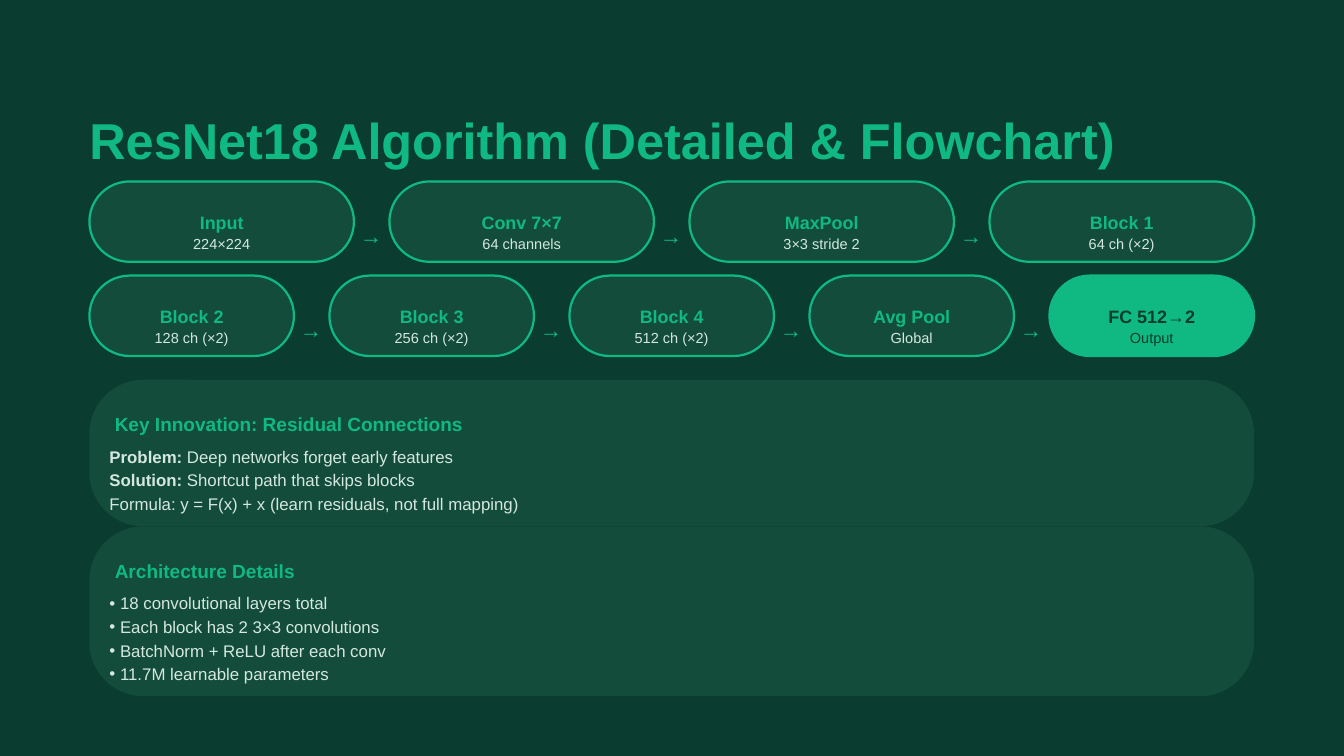
from lxml.etree import SubElement
from pptx import Presentation
from pptx.dml.color import RGBColor
from pptx.enum.shapes import MSO_SHAPE
from pptx.enum.text import PP_ALIGN
from pptx.oxml.ns import qn
from pptx.util import Cm, Pt

BACKGROUND = RGBColor(0x0A, 0x3D, 0x2F)
SURFACE = RGBColor(0x13, 0x4C, 0x3A)
ACCENT = RGBColor(0x10, 0xB9, 0x81)
BODY = RGBColor(0xD4, 0xE8, 0xE0)

MARGIN = 1.69
CONTENT_WIDTH = 22.01
NODE_GAP = 0.67
NODE_HEIGHT = 1.52
PANEL_RADIUS = 1.02
PANEL_PADDING = 0.38

FLOW_ROWS = [
    (3.43, [("Input", "224×224"), ("Conv 7×7", "64 channels"),
            ("MaxPool", "3×3 stride 2"), ("Block 1", "64 ch (×2)")]),
    (5.21, [("Block 2", "128 ch (×2)"), ("Block 3", "256 ch (×2)"),
            ("Block 4", "512 ch (×2)"), ("Avg Pool", "Global"),
            ("FC 512→2", "Output")]),
]
INNOVATION = [
    ("Problem:", " Deep networks forget early features"),
    ("Solution:", " Shortcut path that skips blocks"),
    ("", "Formula: y = F(x) + x (learn residuals, not full mapping)"),
]
ARCHITECTURE = [
    ("", "18 convolutional layers total"),
    ("", "Each block has 2 3×3 convolutions"),
    ("", "BatchNorm + ReLU after each conv"),
    ("", "11.7M learnable parameters"),
]


class FlowSlide:
    font_name = "Arial"

    def __init__(self, deck):
        self.page = deck.slides.add_slide(deck.slide_layouts[6])
        fill = self.page.background.fill
        fill.solid()
        fill.fore_color.rgb = BACKGROUND

    def rounded_box(self, left, top, width, height, radius, color, outline=None):
        box = self.page.shapes.add_shape(
            MSO_SHAPE.ROUNDED_RECTANGLE, Cm(left), Cm(top), Cm(width), Cm(height))
        box.adjustments[0] = radius / height
        box.shadow.inherit = False
        box.fill.solid()
        box.fill.fore_color.rgb = color
        if outline:
            box.line.color.rgb = outline
            box.line.width = Pt(1.2)
        else:
            box.line.fill.background()

    def frame(self, left, top, width, height):
        box = self.page.shapes.add_textbox(Cm(left), Cm(top), Cm(width), Cm(height))
        frame = box.text_frame
        frame.word_wrap = True
        frame.margin_left = frame.margin_right = 0
        frame.margin_top = frame.margin_bottom = 0
        return frame

    def style(self, span, size, color, bold=False):
        span.font.name = self.font_name
        span.font.size = Pt(size)
        span.font.bold = bold
        span.font.color.rgb = color

    def text(self, left, top, width, height, words, size, color, spacing,
             bold=False, align=PP_ALIGN.LEFT):
        frame = self.frame(left, top, width, height)
        frame.text = words
        para = frame.paragraphs[0]
        para.alignment = align
        para.line_spacing = Pt(spacing)
        self.style(para.runs[0], size, color, bold)

    def bullet(self, para):
        properties = para._p.get_or_add_pPr()
        properties.set("marL", str(Cm(0.2)))
        properties.set("indent", str(-Cm(0.2)))
        SubElement(properties, qn("a:buFont"), typeface=self.font_name)
        SubElement(properties, qn("a:buChar"), char="•")

    def lines(self, left, top, width, height, items, bulleted):
        frame = self.frame(left, top, width, height)
        for index, (lead, rest) in enumerate(items):
            para = frame.add_paragraph() if index else frame.paragraphs[0]
            if bulleted:
                self.bullet(para)
            para.line_spacing = Pt(12.6)
            for words, bold in ((lead, True), (rest, False)):
                if words:
                    span = para.add_run()
                    span.text = words
                    self.style(span, 9, BODY, bold)

    def node(self, left, top, width, label, detail, final):
        fill, label_color, detail_color = (
            (ACCENT, BACKGROUND, BACKGROUND) if final else (SURFACE, ACCENT, BODY))
        self.rounded_box(left, top, width, NODE_HEIGHT, NODE_HEIGHT / 2, fill, ACCENT)
        inner_left, inner_width = left + 0.34, width - 0.68
        self.text(inner_left, top + 0.34, inner_width, 0.48, label,
                  9.6, label_color, 17.9, True, PP_ALIGN.CENTER)
        self.text(inner_left, top + 0.82, inner_width, 0.38, detail,
                  7.8, detail_color, 14.6, False, PP_ALIGN.CENTER)

    def flow_row(self, top, nodes):
        width = (CONTENT_WIDTH + NODE_GAP) / len(nodes) - NODE_GAP
        for index, (label, detail) in enumerate(nodes):
            left = MARGIN + index * (width + NODE_GAP)
            self.node(left, top, width, label, detail, label.startswith("FC"))
            if index < len(nodes) - 1:
                self.text(left + width + 0.11, top + 0.48, 0.43, 0.58, "→",
                          12, ACCENT, 22.4)

    def panel(self, top, height, heading, items, bulleted=False):
        self.rounded_box(MARGIN, top, CONTENT_WIDTH, height, PANEL_RADIUS, SURFACE)
        left = MARGIN + PANEL_PADDING
        width = CONTENT_WIDTH - 2 * PANEL_PADDING
        self.text(left + 0.1, top + PANEL_PADDING, width - 0.1, 0.51, heading,
                  10.2, ACCENT, 19, True)
        self.lines(left, top + 1.2, width, 0.44 * len(items), items, bulleted)


def main():
    deck = Presentation()
    deck.slide_width = Cm(25.4)
    deck.slide_height = Cm(14.29)
    slide = FlowSlide(deck)
    slide.text(MARGIN, 1.69, 22.45, 1.14, "ResNet18 Algorithm (Detailed & Flowchart)",
               27, ACCENT, 43.2, True)
    for top, nodes in FLOW_ROWS:
        slide.flow_row(top, nodes)
    slide.panel(7.18, 2.77, "Key Innovation: Residual Connections", INNOVATION)
    slide.panel(9.95, 3.21, "Architecture Details", ARCHITECTURE, bulleted=True)
    deck.save("out.pptx")


if __name__ == "__main__":
    main()
